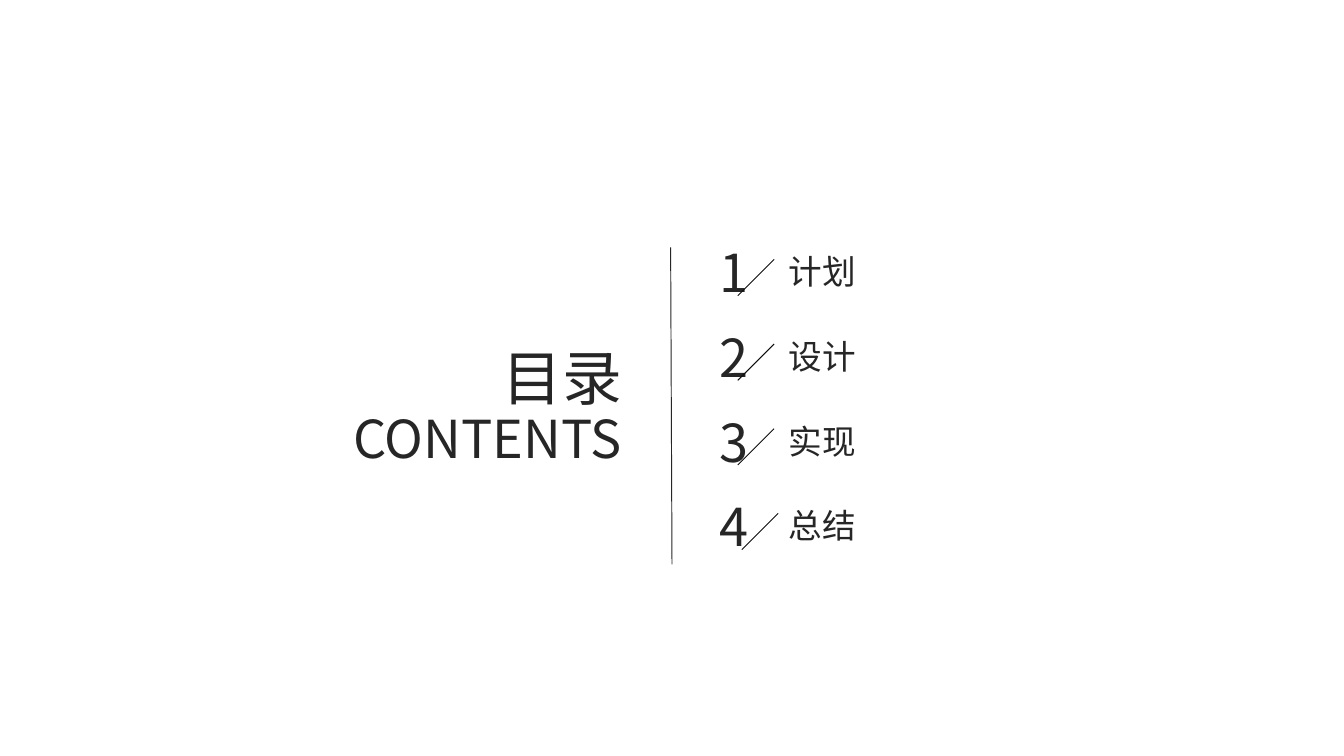
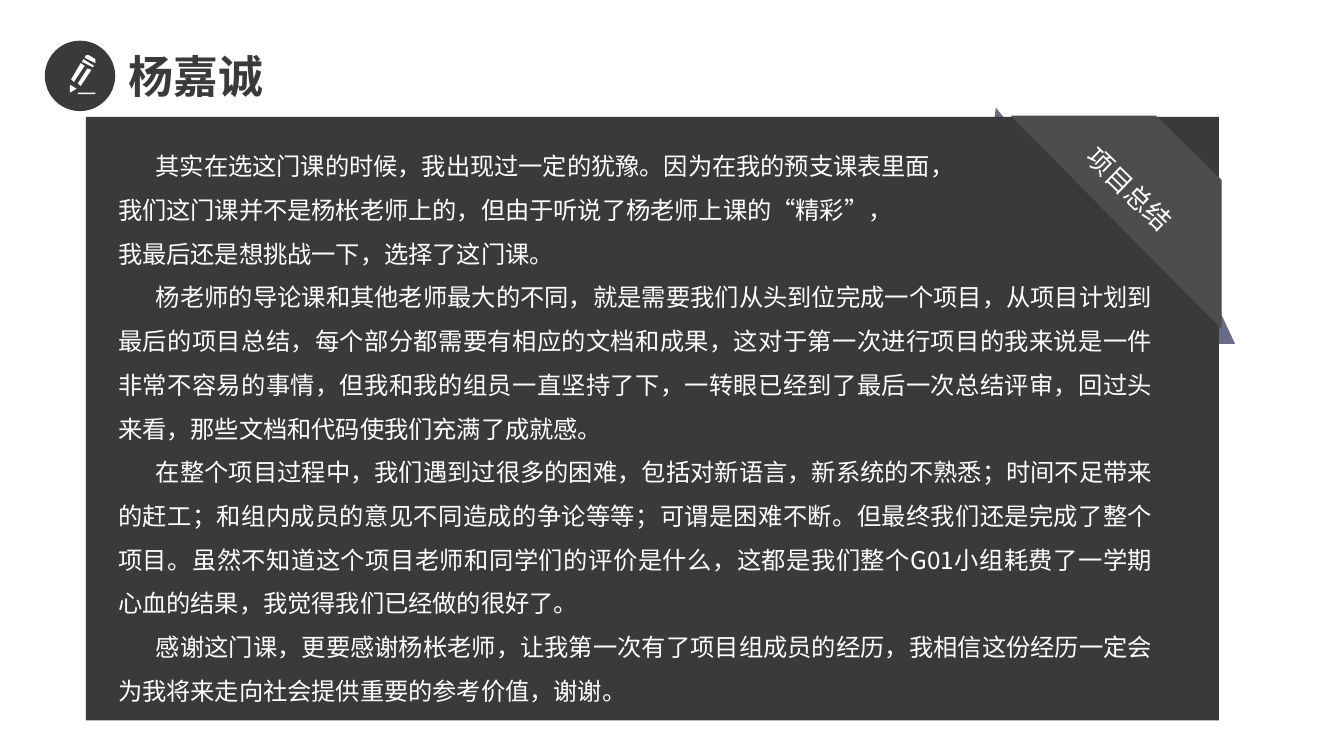
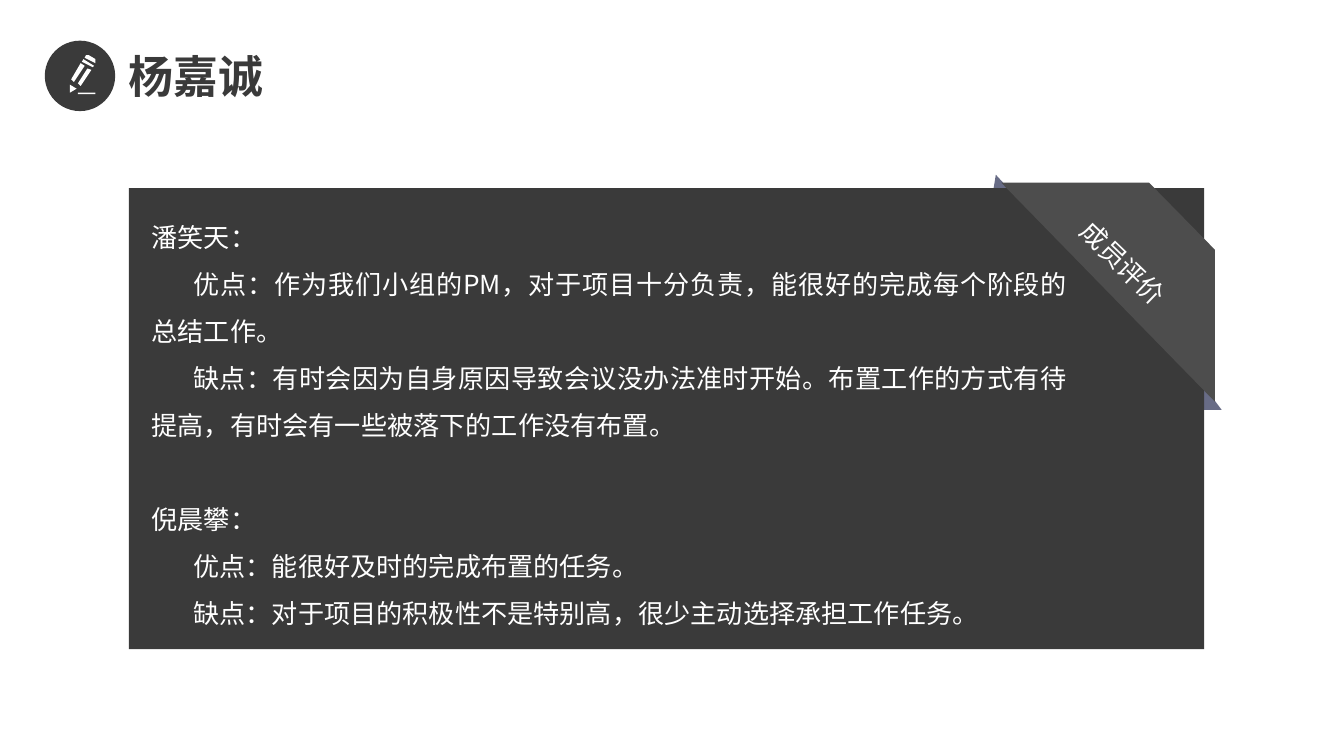
from lxml import etree
from pptx import Presentation
from pptx.dml.color import RGBColor
from pptx.enum.shapes import MSO_CONNECTOR, MSO_SHAPE
from pptx.enum.text import MSO_ANCHOR, MSO_AUTO_SIZE, PP_ALIGN
from pptx.oxml.ns import qn
from pptx.util import Emu, Pt

EMU_PER_PX = 9144
SLIDE_WIDTH = 1000
BLANK_LAYOUT = 6

RECTANGLE, OVAL = MSO_SHAPE.RECTANGLE, MSO_SHAPE.OVAL
STRAIGHT = MSO_CONNECTOR.STRAIGHT
GROW = MSO_AUTO_SIZE.SHAPE_TO_FIT_TEXT
TOP = MSO_ANCHOR.TOP
LEFT, CENTER, RIGHT, JUSTIFY = PP_ALIGN.LEFT, PP_ALIGN.CENTER, PP_ALIGN.RIGHT, PP_ALIGN.JUSTIFY

WHITE = RGBColor(0xFF, 0xFF, 0xFF)
INK = RGBColor(0x26, 0x26, 0x26)
SLASH = RGBColor(0x0D, 0x0D, 0x0D)
CHARCOAL = RGBColor(0x3A, 0x3A, 0x3A)
RIBBON = RGBColor(0x4D, 0x4D, 0x4D)
FOLD = RGBColor(0x68, 0x6C, 0x86)

BODY_FONT, TITLE_FONT = "Noto Sans CJK SC", "Arial"

PENCIL = [
    [(64, 41), (66, 41), (71, 44), (71, 47), (63, 43)],
    [(62, 44), (61, 46), (69, 50), (70, 49)],
    [(52, 69), (52, 63), (57, 66)],
    [(53, 59), (60, 47), (63, 49), (55, 61)],
    [(58, 62), (65, 51), (68, 52), (60, 64)],
    [(58, 69), (71, 69), (71, 70), (58, 70)],
]

CONTENTS = [("计划", 576), ("设计", 576), ("实现", 576), ("总结", 579)]
CONTENTS_PITCH = 63

SUMMARY = {
    "folds": [[(919, 256), (899, 256), (899, 213)], [(741, 80), (739, 95), (753, 95)]],
    "panel": (64, 87, 843, 449),
    "text_box": (78, 97, 789, 427),
    "size": 13,
    "indent": 28,
    "paragraphs": [
        ("其实在选这门课的时候，我出现过一定的犹豫。因为在我的预支课表里面，", True, 0),
        ("我们这门课并不是杨枨老师上的，但由于听说了杨老师上课的“精彩”，", False, 0),
        ("我最后还是想挑战一下，选择了这门课。", False, 0),
        ("杨老师的导论课和其他老师最大的不同，就是需要我们从头到位完成一个项目，"
         "从项目计划到最后的项目总结，每个部分都需要有相应的文档和成果，"
         "这对于第一次进行项目的我来说是一件非常不容易的事情，但我和我的组员一直坚持了下，"
         "一转眼已经到了最后一次总结评审，回过头来看，那些文档和代码使我们充满了成就感。", True, 0),
        ("在整个项目过程中，我们遇到过很多的困难，包括对新语言，新系统的不熟悉；"
         "时间不足带来的赶工；和组内成员的意见不同造成的争论等等；可谓是困难不断。"
         "但最终我们还是完成了整个项目。虽然不知道这个项目老师和同学们的评价是什么，"
         "这都是我们整个G01小组耗费了一学期心血的结果，我觉得我们已经做的很好了。", True, 0),
        ("感谢这门课，更要感谢杨枨老师，让我第一次有了项目组成员的经历，"
         "我相信这份经历一定会为我将来走向社会提供重要的参考价值，谢谢。", True, 0),
    ],
    "ribbon": [(752, 86), (909, 245), (909, 134), (860, 86)],
    "label": "项目总结",
    "label_box": (790, 125, 102, 36),
}

REVIEW = {
    "folds": [[(909, 305), (891, 305), (891, 281)], [(741, 130), (739, 142), (752, 142)]],
    "panel": (96, 140, 800, 343),
    "text_box": (103, 148, 701, 348),
    "size": 14,
    "indent": 31,
    "paragraphs": [
        ("潘笑天：", False, 0),
        ("优点：作为我们小组的PM，对于项目十分负责，能很好的完成每个阶段的总结工作。", True, 0),
        ("缺点：有时会因为自身原因导致会议没办法准时开始。布置工作的方式有待提高，"
         "有时会有一些被落下的工作没有布置。", True, 0),
        ("倪晨攀：", False, 25),
        ("优点：能很好及时的完成布置的任务。", True, 0),
        ("缺点：对于项目的积极性不是特别高，很少主动选择承担工作任务。", True, 0),
    ],
    "ribbon": [(745, 136), (904, 299), (904, 186), (855, 136)],
    "label": "成员评价",
    "label_box": (785, 180, 102, 37),
}


def px(value):
    """Turn px into EMU."""
    return Emu(value * EMU_PER_PX)


class Deck:
    """Holds the shared style and draws elements on the current slide."""

    def __init__(self):
        """Start an empty widescreen presentation."""
        self.presentation = Presentation()
        self.presentation.slide_width = px(SLIDE_WIDTH)
        self.presentation.slide_height = px(SLIDE_WIDTH) * 9 // 16
        self.slide = None

    def new_slide(self):
        """Add a blank slide and make it current."""
        layout = self.presentation.slide_layouts[BLANK_LAYOUT]
        self.slide = self.presentation.slides.add_slide(layout)

    def style_paragraph(self, paragraph, text, paragraph_format, font_format, color):
        """Write one run and apply its format values."""
        for name, value in paragraph_format.items():
            setattr(paragraph, name, value)
        run = paragraph.add_run()
        run.text = text
        for name, value in font_format.items():
            setattr(run.font, name, value)
        run.font.color.rgb = color
        east_asian = etree.SubElement(run.font._element, qn("a:ea"))
        east_asian.set("typeface", BODY_FONT)

    def text(self, box, text, size, color=INK, align=LEFT, wrap=False, font=BODY_FONT, bold=False):
        """Add a single-paragraph text box."""
        frame = self.slide.shapes.add_textbox(*map(px, box)).text_frame
        frame.word_wrap, frame.auto_size = wrap, GROW
        font_format = {"size": Pt(size), "name": font, "bold": bold}
        self.style_paragraph(frame.paragraphs[0], text, {"alignment": align}, font_format, color)

    def body(self, box, paragraphs, size, indent):
        """Add justified body text with optional first-line indents and gaps."""
        frame = self.slide.shapes.add_textbox(*map(px, box)).text_frame
        frame.word_wrap, frame.auto_size = True, GROW
        for index, (text, indented, gap) in enumerate(paragraphs):
            paragraph = frame.add_paragraph() if index else frame.paragraphs[0]
            paragraph_format = {"alignment": JUSTIFY, "line_spacing": 1.5}
            if gap:
                paragraph_format["space_before"] = Pt(gap)
            if indented:
                paragraph._p.get_or_add_pPr().set("indent", str(px(indent)))
            font_format = {"size": Pt(size), "name": BODY_FONT}
            self.style_paragraph(paragraph, text, paragraph_format, font_format, WHITE)

    def paint(self, shape, fill, outlined=False):
        """Give a shape a flat fill, with or without a matching outline."""
        shape.shadow.inherit = False
        shape.fill.solid()
        shape.fill.fore_color.rgb = fill
        if outlined:
            shape.line.color.rgb = fill
            shape.line.width = Pt(1)
        else:
            shape.line.fill.background()

    def shape(self, kind, box, fill, outlined=False):
        """Add a filled preset shape."""
        shape = self.slide.shapes.add_shape(kind, *map(px, box))
        self.paint(shape, fill, outlined)
        return shape

    def outline(self, contours, fill):
        """Add a filled freeform made of closed contours."""
        builder = self.slide.shapes.build_freeform(*contours[0][0], scale=EMU_PER_PX)
        for index, (start, *points) in enumerate(contours):
            if index:
                builder.move_to(*start)
            builder.add_line_segments(points, close=True)
        self.paint(builder.convert_to_shape(), fill)

    def line(self, start, end, color):
        """Add a thin straight line."""
        connector = self.slide.shapes.add_connector(STRAIGHT, *map(px, start + end))
        connector.line.color.rgb = color
        connector.line.width = Pt(0.5)
        etree.SubElement(connector._element.spPr, qn("a:effectLst"))

    def ribbon_label(self, box, text):
        """Add the slanted label of a corner ribbon."""
        shape = self.shape(RECTANGLE, box, RIBBON)
        shape.rotation = 44
        frame = shape.text_frame
        frame.word_wrap, frame.auto_size, frame.vertical_anchor = False, GROW, TOP
        font_format = {"size": Pt(14), "name": BODY_FONT}
        self.style_paragraph(frame.paragraphs[0], text, {"alignment": LEFT}, font_format, WHITE)

    def header(self, title):
        """Add the slide title with its pencil badge."""
        self.text((86, 31, 122, 50), title, 24, CHARCOAL, wrap=True, font=TITLE_FONT, bold=True)
        self.shape(OVAL, (34, 31, 51, 51), CHARCOAL, outlined=True)
        self.outline(PENCIL, WHITE)


def contents_slide(deck):
    """Build the contents slide."""
    deck.new_slide()
    deck.text((172, 297, 300, 57), "CONTENTS", 28, align=RIGHT, wrap=True)
    deck.text((364, 249, 110, 64), "目录", 32)
    for index, (label, slash_right) in enumerate(CONTENTS):
        offset = index * CONTENTS_PITCH
        deck.text((577, 182 + offset, 71, 40), label, 18)
        deck.text((525, 174 + offset, 43, 57), str(index + 1), 28, align=CENTER)
        deck.line((slash_right, 193 + offset), (slash_right - 27, 220 + offset), SLASH)
    deck.line((499, 184), (500, 420), INK)


def member_slide(deck, content):
    """Build a slide with a ribboned text panel."""
    deck.new_slide()
    for fold in content["folds"]:
        deck.outline([fold], FOLD)
    deck.shape(RECTANGLE, content["panel"], CHARCOAL)
    deck.body(content["text_box"], content["paragraphs"], content["size"], content["indent"])
    deck.outline([content["ribbon"]], RIBBON)
    deck.ribbon_label(content["label_box"], content["label"])
    deck.header("杨嘉诚")


def main():
    """Build and save the presentation."""
    deck = Deck()
    contents_slide(deck)
    for content in (SUMMARY, REVIEW):
        member_slide(deck, content)
    deck.presentation.save("out.pptx")


if __name__ == "__main__":
    main()
